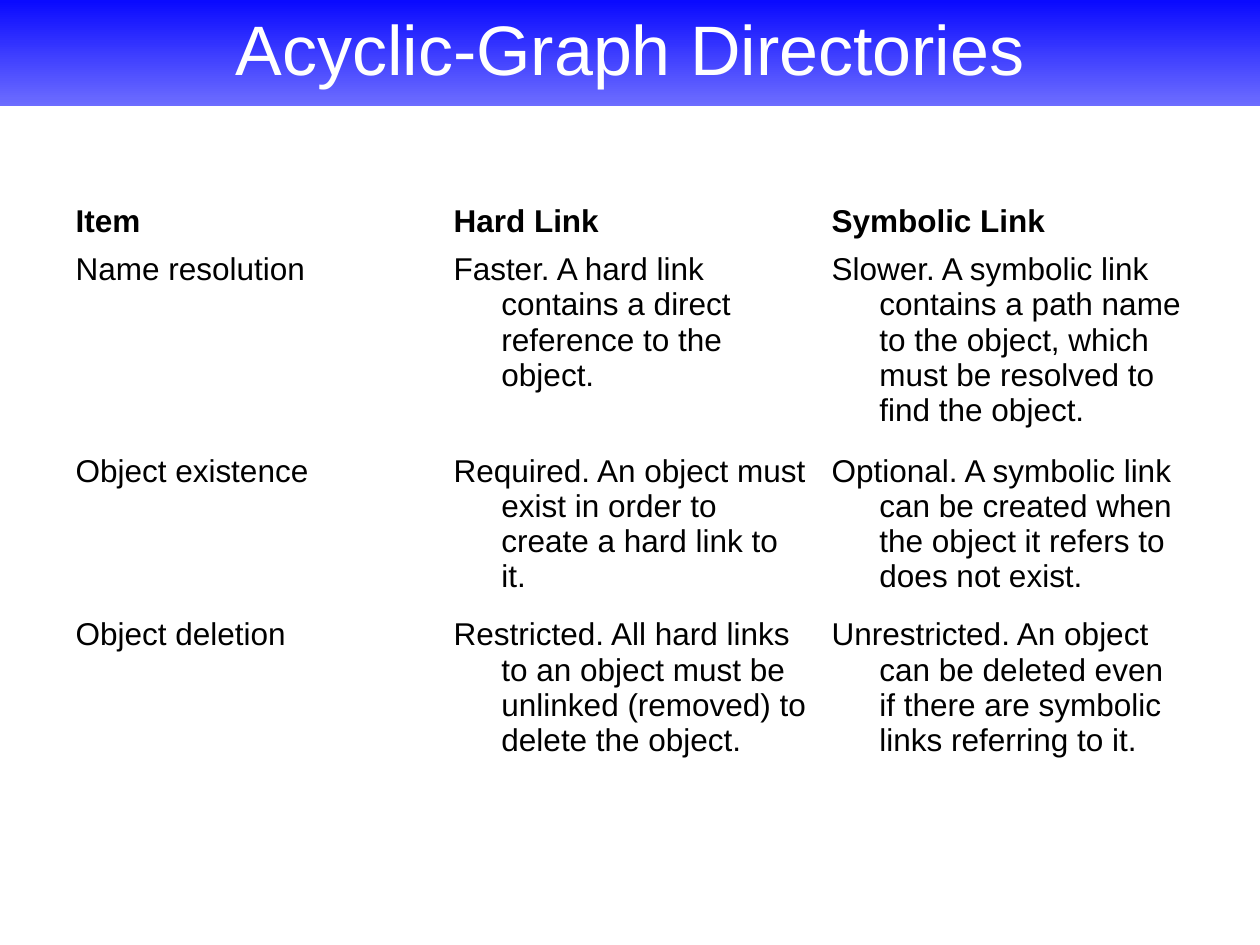
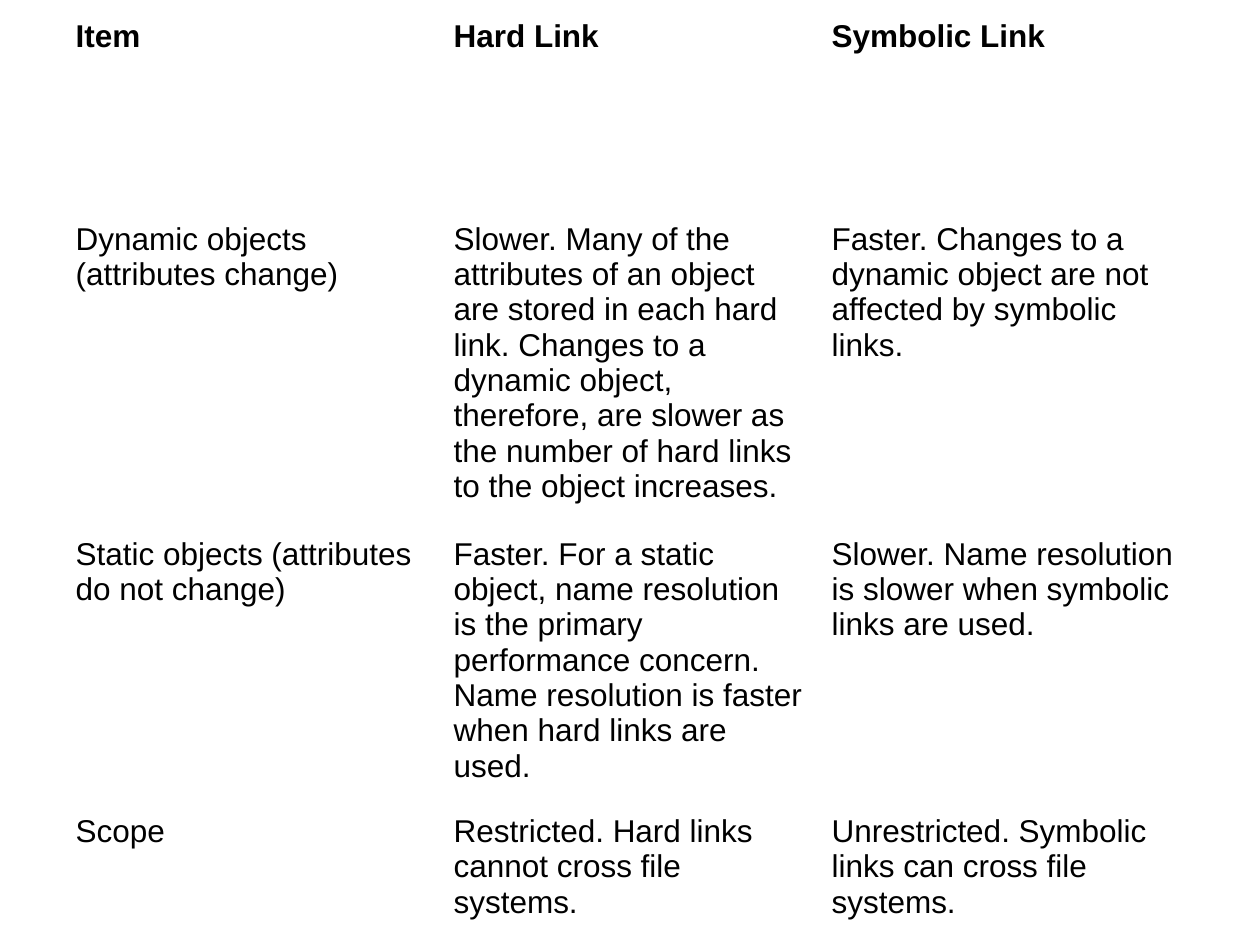
from dataclasses import dataclass

from pptx import Presentation
from pptx.dml.color import RGBColor
from pptx.enum.text import MSO_ANCHOR, MSO_AUTO_SIZE, PP_ALIGN
from pptx.presentation import Presentation as Deck
from pptx.slide import Slide
from pptx.table import _Cell
from pptx.util import Inches, Pt

TOP, MIDDLE, BOTTOM = MSO_ANCHOR.TOP, MSO_ANCHOR.MIDDLE, MSO_ANCHOR.BOTTOM
CENTER = PP_ALIGN.CENTER
NO_AUTOFIT = MSO_AUTO_SIZE.NONE

COLORS = {
    "band_top": "0000FF",
    "band_bottom": "6D6DFF",
    "title": "FFFFFF",
    "text": "000000",
}
FONT = "Arial"
TITLE_ONLY, BLANK = 5, 6
TABLE_LEFT = 0.5
COLUMN_WIDTH = 3
HEADINGS = ("Item", "Hard Link", "Symbolic Link")


@dataclass(frozen=True)
class Row:
    height: float
    cells: tuple[str, ...] = ()
    heading: bool = False


@dataclass(frozen=True)
class Comparison:
    top: float
    rows: tuple[Row, ...]
    hanging: float = 0
    title: str = ""


COMPARISONS = (
    Comparison(
        title="Acyclic-Graph Directories",
        top=1.55,
        hanging=0.38,
        rows=(
            Row(0.4, HEADINGS, heading=True),
            Row(1.6, (
                "Name resolution",
                "Faster. A hard link contains a direct reference to the object.",
                "Slower. A symbolic link contains a path name to the object, "
                "which must be resolved to find the object.",
            )),
            Row(1.3, (
                "Object existence",
                "Required. An object must exist in order to create a hard link to it.",
                "Optional. A symbolic link can be created when the object it "
                "refers to does not exist.",
            )),
            Row(1.3, (
                "Object deletion",
                "Restricted. All hard links to an object must be unlinked "
                "(removed) to delete the object.",
                "Unrestricted. An object can be deleted even if there are "
                "symbolic links referring to it.",
            )),
            Row(0.99),
            Row(0.7),
            Row(0.4),
        ),
    ),
    Comparison(
        top=-0.82,
        rows=(
            Row(1.3, HEADINGS, heading=True),
            Row(0.42),
            Row(0.4),
            Row(0.4),
            Row(2.5, (
                "Dynamic objects (attributes change)",
                "Slower. Many of the attributes of an object are stored in each "
                "hard link. Changes to a dynamic object, therefore, are slower "
                "as the number of hard links to the object increases.",
                "Faster. Changes to a dynamic object are not affected by "
                "symbolic links.",
            )),
            Row(2.2, (
                "Static objects (attributes do not change)",
                "Faster. For a static object, name resolution is the primary "
                "performance concern. Name resolution is faster when hard links "
                "are used.",
                "Slower. Name resolution is slower when symbolic links are used.",
            )),
            Row(1, (
                "Scope",
                "Restricted. Hard links cannot cross file systems.",
                "Unrestricted. Symbolic links can cross file systems.",
            )),
        ),
    ),
)


def color(name: str) -> RGBColor:
    return RGBColor.from_string(COLORS[name])


def draw_title(slide: Slide, text: str) -> None:
    title = slide.shapes.title
    title.left, title.top = Inches(0), Inches(-0.08)
    title.width, title.height = Inches(10), Inches(0.92)
    title.fill.gradient()
    title.fill.gradient_angle = 270
    for stop, position, name in zip(
        title.fill.gradient_stops, (0, 1), ("band_top", "band_bottom")
    ):
        stop.position = position
        stop.color.rgb = color(name)
    frame = title.text_frame
    frame.text = text
    frame.auto_size = NO_AUTOFIT
    frame.vertical_anchor = MIDDLE
    paragraph = frame.paragraphs[0]
    paragraph.alignment = CENTER
    paragraph.font.name = FONT
    paragraph.font.size = Pt(40)
    paragraph.font.color.rgb = color("title")


def write_cell(cell: _Cell, text: str, heading: bool, hanging: float) -> None:
    cell.text = text
    cell.vertical_anchor = BOTTOM if heading else TOP
    paragraph = cell.text_frame.paragraphs[0]
    paragraph.font.name = FONT
    paragraph.font.size = Pt(18)
    paragraph.font.bold = heading
    paragraph.font.color.rgb = color("text")
    if hanging:
        properties = paragraph._p.get_or_add_pPr()
        properties.set("marL", str(Inches(hanging)))
        properties.set("indent", str(-Inches(hanging)))


def draw_table(slide: Slide, comparison: Comparison) -> None:
    rows = comparison.rows
    table = slide.shapes.add_table(
        len(rows), len(HEADINGS),
        Inches(TABLE_LEFT), Inches(comparison.top),
        Inches(COLUMN_WIDTH * len(HEADINGS)),
        Inches(sum(row.height for row in rows)),
    ).table
    table.first_row = table.horz_banding = False
    for cell in table.iter_cells():
        cell.fill.background()
    for index, row in enumerate(rows):
        table.rows[index].height = Inches(row.height)
        for column, text in enumerate(row.cells):
            write_cell(table.cell(index, column), text, row.heading, comparison.hanging)


def add_comparison(deck: Deck, comparison: Comparison) -> None:
    layout = TITLE_ONLY if comparison.title else BLANK
    slide = deck.slides.add_slide(deck.slide_layouts[layout])
    if comparison.title:
        draw_title(slide, comparison.title)
    draw_table(slide, comparison)


def main() -> None:
    deck = Presentation()
    deck.slide_width, deck.slide_height = Inches(10), Inches(7.5)
    for comparison in COMPARISONS:
        add_comparison(deck, comparison)
    deck.save("out.pptx")


if __name__ == "__main__":
    main()
